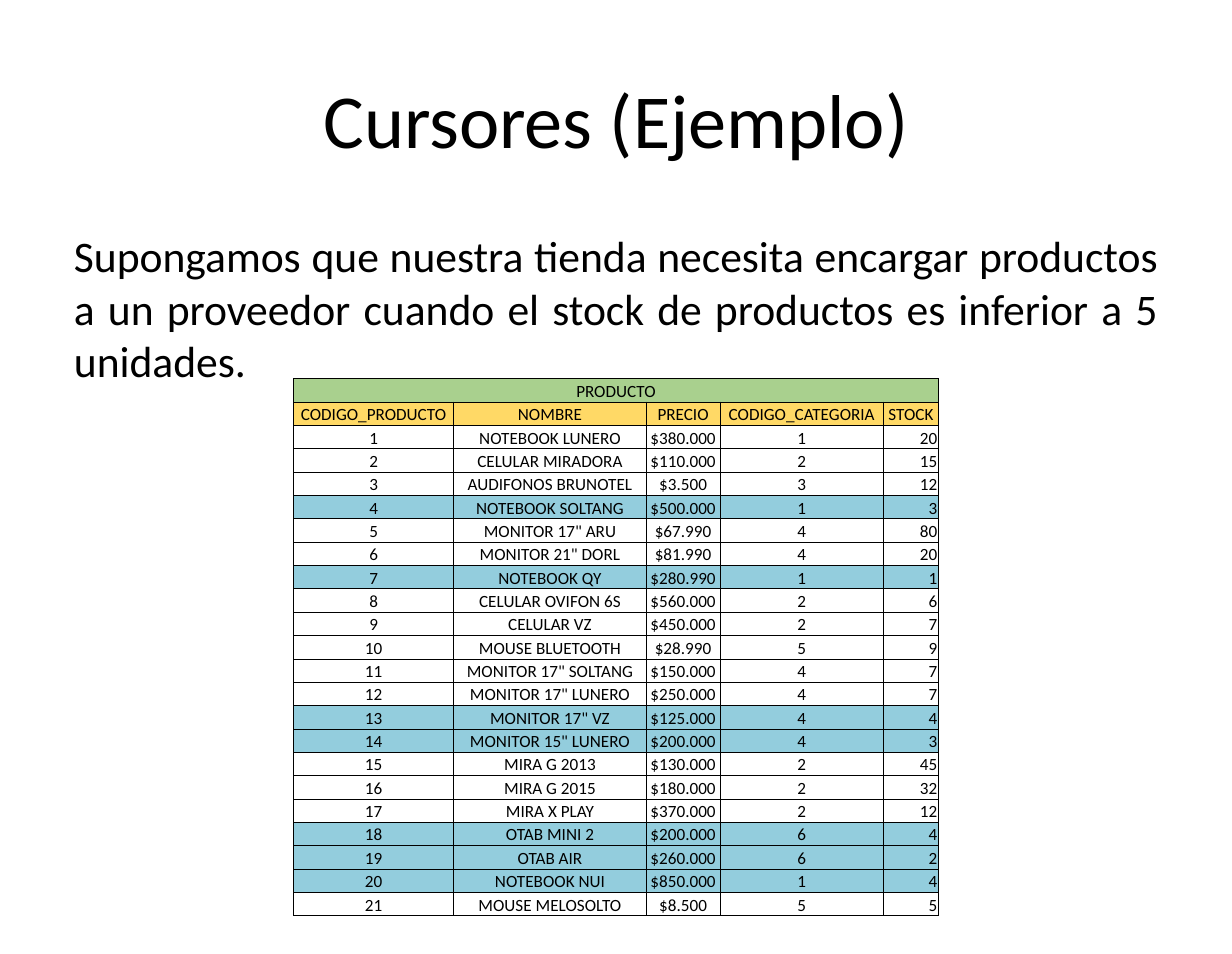
"""Build the slide with the example product table for cursors."""
from dataclasses import dataclass

from lxml.etree import SubElement
from pptx import Presentation
from pptx.dml.color import RGBColor
from pptx.enum.text import MSO_ANCHOR as Anchor, MSO_AUTO_SIZE as AutoSize, PP_ALIGN as Align
from pptx.oxml.ns import qn
from pptx.slide import Slide
from pptx.table import _Cell as Cell
from pptx.text.text import TextFrame
from pptx.util import Pt

COLORS = {
    "text": "000000",
    "border": "000000",
    "heading": "A9D08E",
    "columns": "FFD966",
    "low_stock": "93CDDD",
}
FONT = "Calibri"
MINIMUM_STOCK = 5
ROW_HEIGHT = 15
TABLE_LEFT, TABLE_TOP = 188.6, 243.2
MARGIN_LEFT, CONTENT_WIDTH = 39.6, 712


@dataclass(frozen=True)
class Column:
    label: str
    width: float
    align: Align = Align.CENTER


@dataclass(frozen=True)
class Product:
    name: str
    price: str
    category: int
    stock: int


COLUMNS = [
    Column("CODIGO_PRODUCTO", 102.8),
    Column("NOMBRE", 123.8),
    Column("PRECIO", 47.2),
    Column("CODIGO_CATEGORIA", 105.2),
    Column("STOCK", 35.2, Align.RIGHT),
]

PRODUCTS = [
    Product("NOTEBOOK LUNERO", "$380.000", 1, 20),
    Product("CELULAR MIRADORA", "$110.000", 2, 15),
    Product("AUDIFONOS BRUNOTEL", "$3.500", 3, 12),
    Product("NOTEBOOK SOLTANG", "$500.000", 1, 3),
    Product('MONITOR 17" ARU', "$67.990", 4, 80),
    Product('MONITOR 21" DORL', "$81.990", 4, 20),
    Product("NOTEBOOK QY", "$280.990", 1, 1),
    Product("CELULAR OVIFON 6S", "$560.000", 2, 6),
    Product("CELULAR VZ", "$450.000", 2, 7),
    Product("MOUSE BLUETOOTH", "$28.990", 5, 9),
    Product('MONITOR 17" SOLTANG', "$150.000", 4, 7),
    Product('MONITOR 17" LUNERO', "$250.000", 4, 7),
    Product('MONITOR 17" VZ', "$125.000", 4, 4),
    Product('MONITOR 15" LUNERO', "$200.000", 4, 3),
    Product("MIRA G 2013", "$130.000", 2, 45),
    Product("MIRA G 2015", "$180.000", 2, 32),
    Product("MIRA X PLAY", "$370.000", 2, 12),
    Product("OTAB MINI 2", "$200.000", 6, 4),
    Product("OTAB AIR", "$260.000", 6, 2),
    Product("NOTEBOOK NUI", "$850.000", 1, 4),
    Product("MOUSE MELOSOLTO", "$8.500", 5, 5),
]


def write_text(frame: TextFrame, text: str, size: float, align: Align) -> None:
    """Write one formatted run in the first paragraph."""
    paragraph = frame.paragraphs[0]
    paragraph.alignment = align
    run = paragraph.add_run()
    run.text = text
    run.font.name = FONT
    run.font.size = Pt(size)
    run.font.color.rgb = RGBColor.from_string(COLORS["text"])


def set_frame(frame: TextFrame, anchor: Anchor) -> None:
    """Set wrapping, anchor and margins of a text frame."""
    frame.word_wrap = True
    frame.auto_size = AutoSize.NONE
    frame.vertical_anchor = anchor
    frame.margin_left = frame.margin_right = Pt(7.9)
    frame.margin_top = frame.margin_bottom = Pt(4)


def style_cell(cell: Cell, fill: str | None) -> None:
    """Give a cell its borders, margins, anchor and fill."""
    cell.vertical_anchor = Anchor.BOTTOM
    cell.margin_left = cell.margin_right = cell.margin_top = Pt(0.7)
    cell.margin_bottom = Pt(0)
    properties = cell._tc.get_or_add_tcPr()
    for side in ("a:lnL", "a:lnR", "a:lnT", "a:lnB"):
        line = SubElement(properties, qn(side), w=str(Pt(0.5)))
        solid = SubElement(line, qn("a:solidFill"))
        SubElement(solid, qn("a:srgbClr"), val=COLORS["border"])
    if fill is None:
        cell.fill.background()
    else:
        cell.fill.solid()
        cell.fill.fore_color.rgb = RGBColor.from_string(COLORS[fill])


def add_product_table(slide: Slide) -> None:
    """Add the table, marking the products with low stock."""
    rows = [("heading", ["PRODUCTO"]), ("columns", [column.label for column in COLUMNS])]
    for code, product in enumerate(PRODUCTS, start=1):
        fill = "low_stock" if product.stock < MINIMUM_STOCK else None
        values = [code, product.name, product.price, product.category, product.stock]
        rows.append((fill, [str(value) for value in values]))

    width = sum(column.width for column in COLUMNS)
    shape = slide.shapes.add_table(
        len(rows), len(COLUMNS), Pt(TABLE_LEFT), Pt(TABLE_TOP), Pt(width), Pt(ROW_HEIGHT * len(rows))
    )
    table = shape.table
    table.first_row = table.horz_banding = False
    for index, column in enumerate(COLUMNS):
        table.columns[index].width = Pt(column.width)
    for row_index, (fill, texts) in enumerate(rows):
        table.rows[row_index].height = Pt(ROW_HEIGHT)
        for index in range(len(COLUMNS)):
            style_cell(table.cell(row_index, index), fill)
        for index, text in enumerate(texts):
            align = Align.CENTER if fill in ("heading", "columns") else COLUMNS[index].align
            write_text(table.cell(row_index, index).text_frame, text, 11, align)
    table.cell(0, 0).merge(table.cell(0, len(COLUMNS) - 1))


def main() -> None:
    """Build and save the presentation."""
    presentation = Presentation()
    presentation.slide_width, presentation.slide_height = Pt(791.3), Pt(612.7)
    slide = presentation.slides.add_slide(presentation.slide_layouts[5])

    title = slide.shapes.title
    title.left, title.top = Pt(MARGIN_LEFT), Pt(24.5)
    title.width, title.height = Pt(CONTENT_WIDTH), Pt(102.2)
    set_frame(title.text_frame, Anchor.MIDDLE)
    write_text(title.text_frame, "Cursores (Ejemplo)", 49, Align.CENTER)

    body = slide.shapes.add_textbox(Pt(MARGIN_LEFT), Pt(143.3), Pt(CONTENT_WIDTH), Pt(404.6))
    set_frame(body.text_frame, Anchor.TOP)
    write_text(
        body.text_frame,
        "Supongamos que nuestra tienda necesita encargar productos a un proveedor "
        "cuando el stock de productos es inferior a 5 unidades.",
        28,
        Align.JUSTIFY,
    )

    add_product_table(slide)
    presentation.save("out.pptx")


if __name__ == "__main__":
    main()
